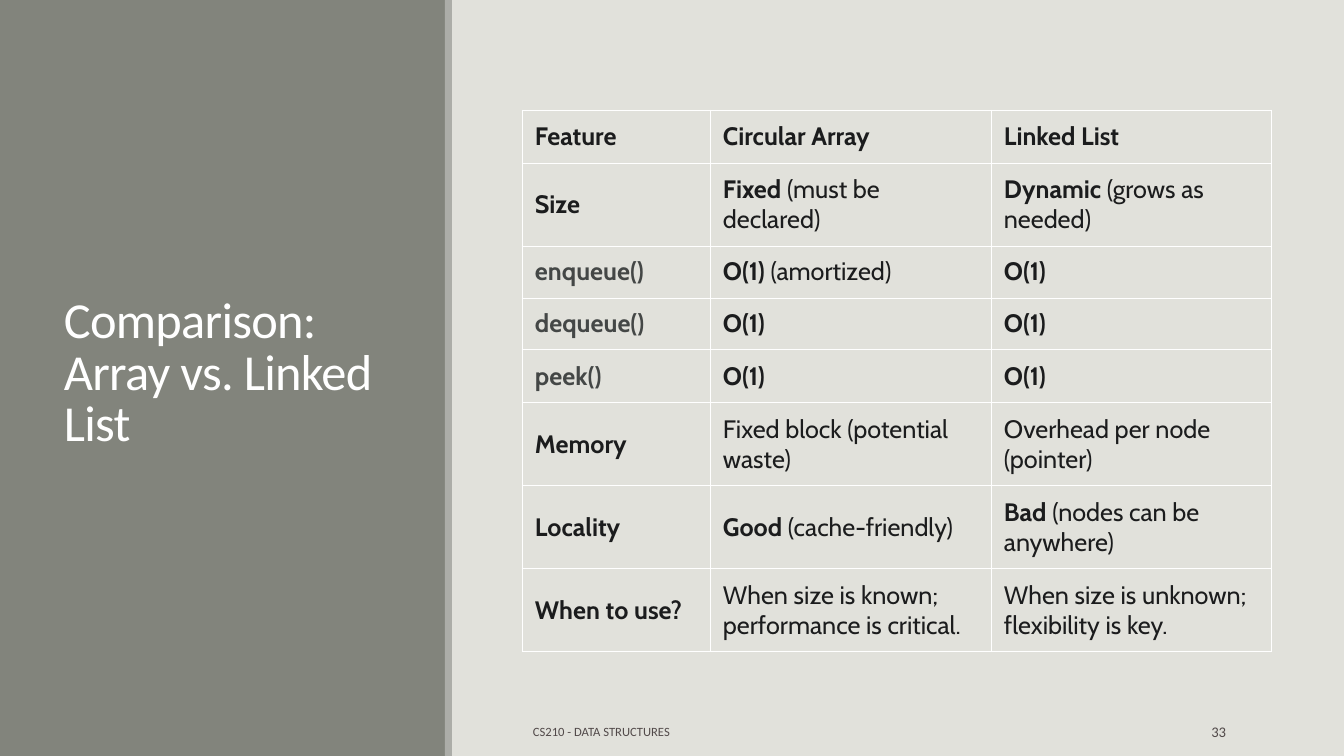
from lxml import etree
from pptx import Presentation
from pptx.dml.color import RGBColor
from pptx.enum.shapes import MSO_SHAPE
from pptx.enum.text import MSO_ANCHOR, PP_ALIGN
from pptx.oxml.ns import qn
from pptx.util import Emu, Pt

PX = 12192000 / 1344
RECTANGLE = MSO_SHAPE.RECTANGLE
MIDDLE = MSO_ANCHOR.MIDDLE
LEFT, RIGHT = PP_ALIGN.LEFT, PP_ALIGN.RIGHT

PAPER = RGBColor(0xE1, 0xE1, 0xDB)
OLIVE = RGBColor(0x82, 0x84, 0x7C)
STRIPE = RGBColor(0xAC, 0xAD, 0xA8)
WHITE = RGBColor(0xFF, 0xFF, 0xFF)
INK = RGBColor(0x1B, 0x1C, 0x1D)
CODE_GREY = RGBColor(0x44, 0x47, 0x46)
FOOTER_GREY = RGBColor(0x51, 0x49, 0x49)

COLUMN_WIDTHS = (188, 281, 281)
ROW_HEIGHTS = (53, 83, 52, 52, 53, 83, 83, 83)
CELL_MARGINS = {"margin_left": 13, "margin_right": 13, "margin_top": 9, "margin_bottom": 9}
# Each cell holds a bold part followed by a regular part.
COMPARISON = (
    (("Feature", ""), ("Circular Array", ""), ("Linked List", "")),
    (("Size", ""), ("Fixed", " (must be declared)"), ("Dynamic", " (grows as needed)")),
    (("enqueue()", ""), ("O(1)", " (amortized)"), ("O(1)", "")),
    (("dequeue()", ""), ("O(1)", ""), ("O(1)", "")),
    (("peek()", ""), ("O(1)", ""), ("O(1)", "")),
    (("Memory", ""), ("", "Fixed block (potential waste)"), ("", "Overhead per node (pointer)")),
    (("Locality", ""), ("Good", " (cache-friendly)"), ("Bad", " (nodes can be anywhere)")),
    (("When to use?", ""), ("", "When size is known; performance is critical."),
     ("", "When size is unknown; flexibility is key.")),
)


def px(length):
    return Emu(round(length * PX))


def add_span(para, text, color, **formats):
    span = para.add_run()
    span.text = text
    span.font.color.rgb = color
    for name, value in formats.items():
        setattr(span.font, name, value)
    return span


def add_text(page, box, text, color, size, **para_formats):
    frame = page.shapes.add_textbox(*map(px, box)).text_frame
    frame.word_wrap = True
    frame.vertical_anchor = MIDDLE
    para = frame.paragraphs[0]
    for name, value in para_formats.items():
        setattr(para, name, value)
    return add_span(para, text, color, name="Calibri", size=Pt(size))


def add_bar(page, box, color):
    bar = page.shapes.add_shape(RECTANGLE, *map(px, box))
    bar.shadow.inherit = False
    bar.fill.solid()
    bar.fill.fore_color.rgb = color
    bar.line.fill.background()


def add_title_panel(page, box):
    left, top, width, height = box
    add_bar(page, box, OLIVE)
    title = add_text(page, (left + 54, top + 57, width - 107, height - 120),
                     "Comparison: Array vs. Linked List", WHITE, 36, line_spacing=0.85)
    title.font._element.set("spc", "-50")
    add_bar(page, (left + width - 1, top, 7, height), STRIPE)


def add_footer(page, box):
    left, top, width, height = box
    number_width = 120
    add_text(page, (left, top, 562, height), "CS210 - DATA STRUCTURES",
             FOOTER_GREY, 9, alignment=LEFT, space_after=Pt(6))
    add_text(page, (left + width - number_width, top, number_width, height), "33",
             FOOTER_GREY, 10.5, alignment=RIGHT, space_after=Pt(6))


def set_borders(cell):
    properties = cell._tc.get_or_add_tcPr()
    for index, side in enumerate(("a:lnL", "a:lnR", "a:lnT", "a:lnB")):
        line = etree.Element(qn(side), w=str(Pt(0.75)))
        fill = etree.SubElement(line, qn("a:solidFill"))
        etree.SubElement(fill, qn("a:srgbClr"), val=str(WHITE))
        properties.insert(index, line)


def fill_cell(cell, parts):
    cell.fill.background()
    cell.vertical_anchor = MIDDLE
    for name, value in CELL_MARGINS.items():
        setattr(cell, name, px(value))
    set_borders(cell)
    bold_text, regular_text = parts
    color = CODE_GREY if bold_text.endswith("e()") or bold_text == "peek()" else INK
    para = cell.text_frame.paragraphs[0]
    for text, bold in ((bold_text, True), (regular_text, False)):
        if text:
            add_span(para, text, color, name="Cabin", size=Pt(18), bold=bold)


def add_comparison_table(page, left, top):
    box = (left, top, sum(COLUMN_WIDTHS), sum(ROW_HEIGHTS))
    table = page.shapes.add_table(len(ROW_HEIGHTS), len(COLUMN_WIDTHS), *map(px, box)).table
    table.first_row = table.horz_banding = False
    for column, width in zip(table.columns, COLUMN_WIDTHS):
        column.width = px(width)
    for row, height, entries in zip(table.rows, ROW_HEIGHTS, COMPARISON):
        row.height = px(height)
        for cell, parts in zip(row.cells, entries):
            fill_cell(cell, parts)


def main():
    deck = Presentation()
    deck.slide_width, deck.slide_height = px(1344), px(756)
    page = deck.slides.add_slide(deck.slide_layouts[6])
    page.background.fill.solid()
    page.background.fill.fore_color.rgb = PAPER
    add_title_panel(page, (0, 0, 446, 756))
    add_footer(page, (523, 712, 713, 40))
    add_comparison_table(page, 522, 110)
    deck.save("out.pptx")


if __name__ == "__main__":
    main()
